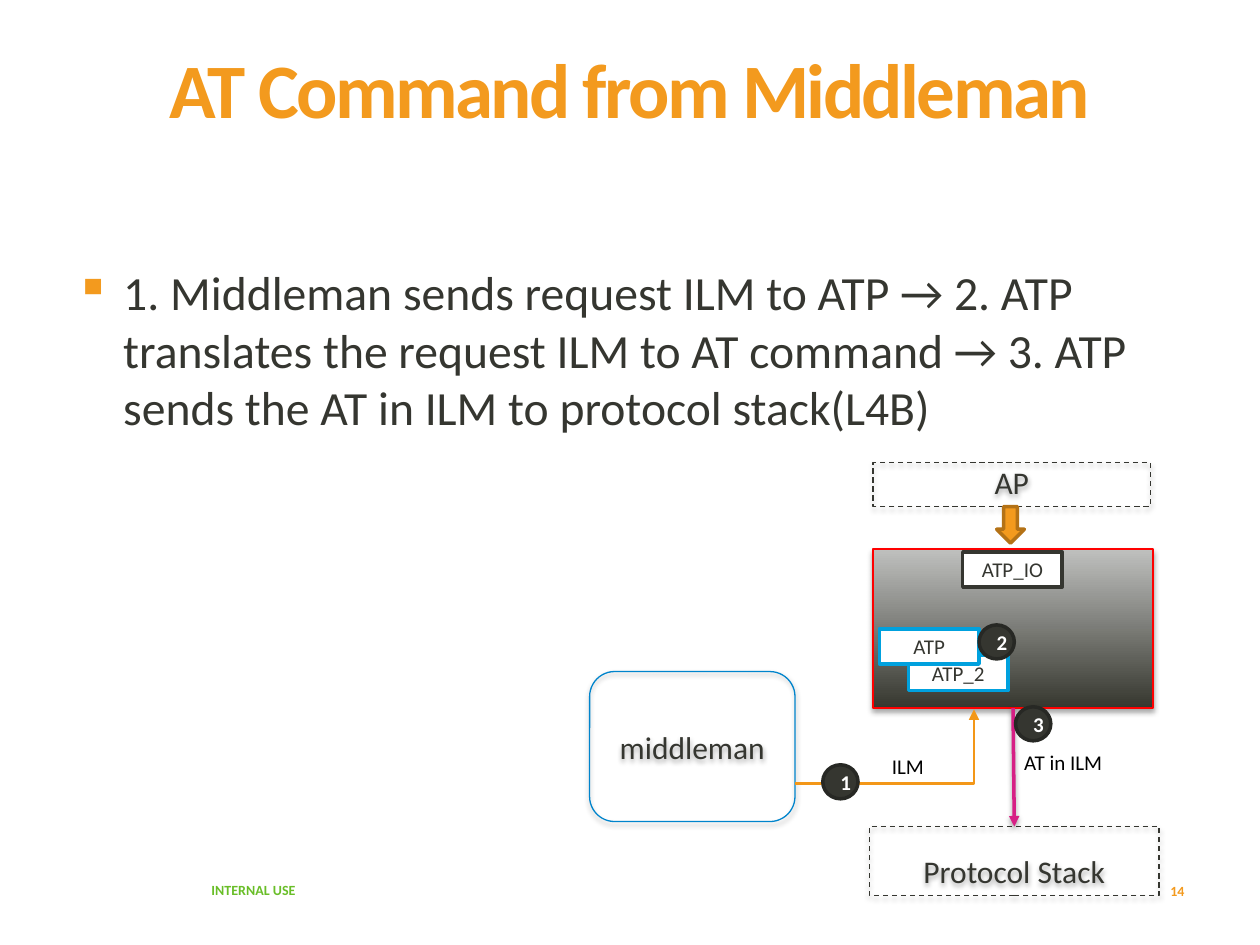
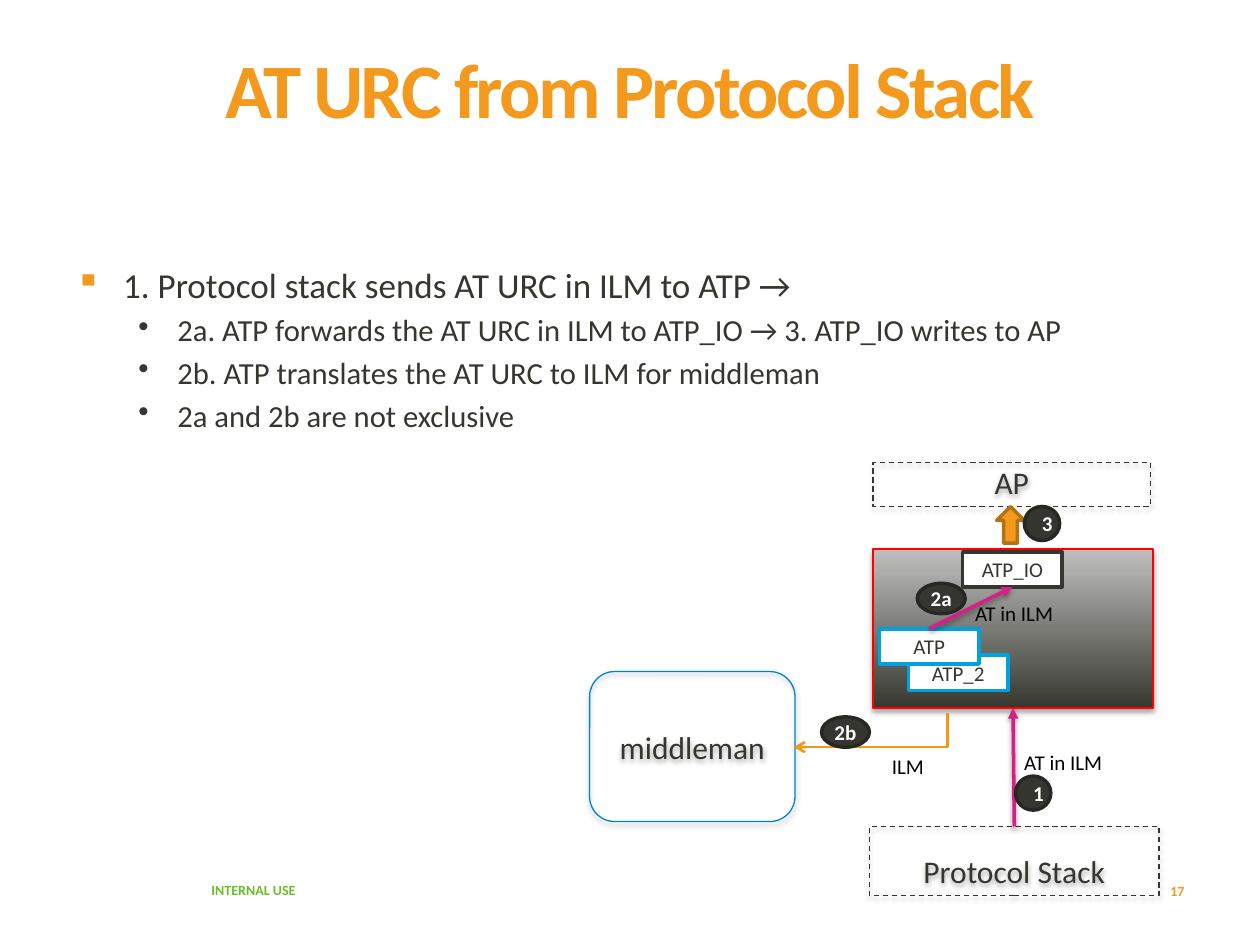
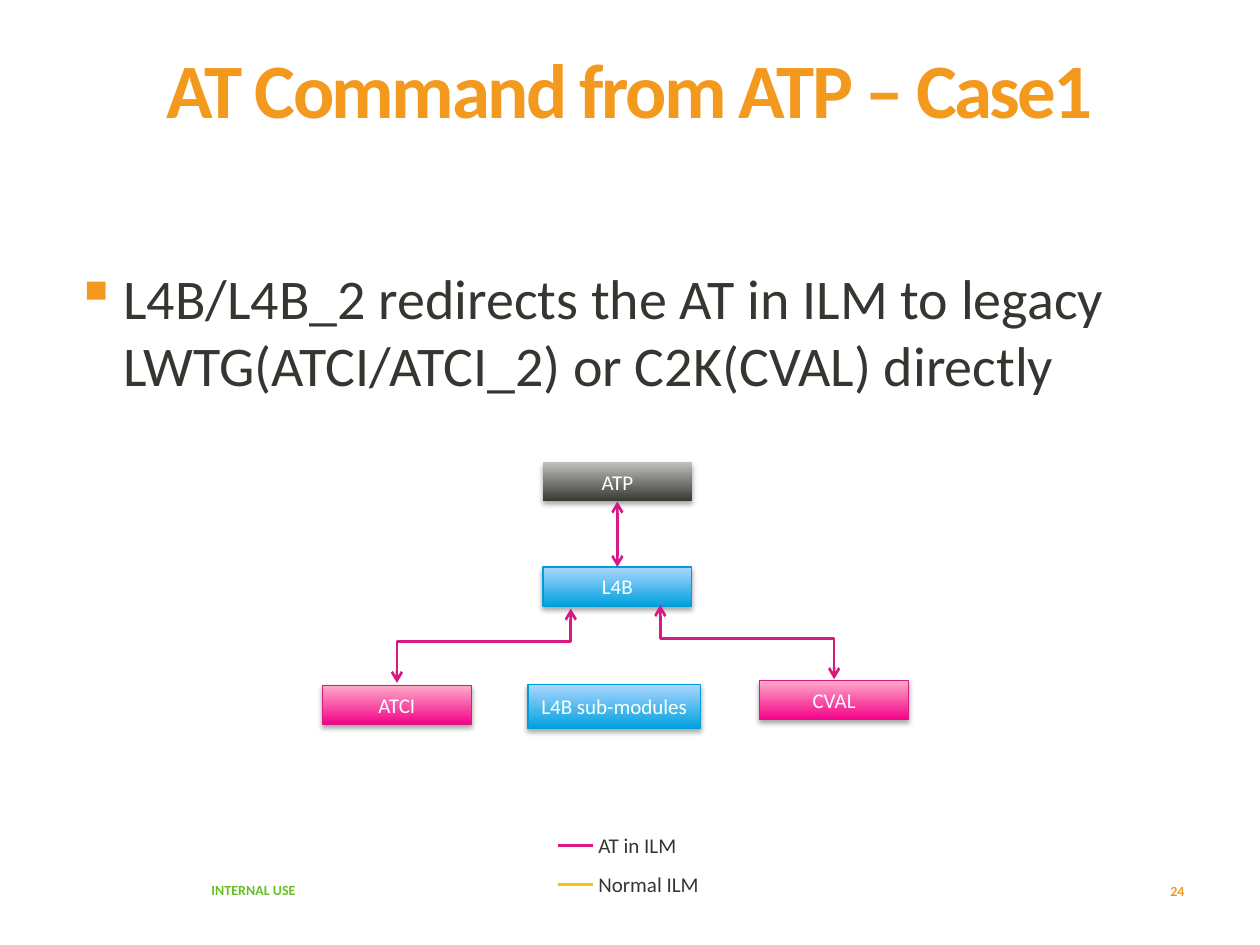
from dataclasses import dataclass

from lxml.etree import SubElement
from pptx import Presentation
from pptx.dml.color import RGBColor
from pptx.enum.dml import MSO_LINE
from pptx.enum.shapes import MSO_CONNECTOR, MSO_SHAPE
from pptx.enum.text import MSO_ANCHOR, MSO_AUTO_SIZE, PP_ALIGN
from pptx.oxml.ns import qn
from pptx.util import Emu, Inches, Pt


@dataclass(frozen=True)
class Theme:
    font: str = "Calibri"
    orange: str = "F39A1E"
    flow: str = "F39718"
    orange_edge: str = "B47216"
    green: str = "69BE28"
    ink: str = "353630"
    badge_edge: str = "272824"
    white: str = "FFFFFF"
    black: str = "000000"
    red: str = "FF0000"
    blue: str = "0084CC"
    cyan: str = "00A1DE"
    cyan_edge: str = "009DD9"
    magenta: str = "D71F85"
    magenta_edge: str = "D71A83"
    amber: str = "FFC000"
    gray_fade: tuple = ("36372F", "BFC0BE")
    cyan_fade: tuple = ("00A1DE", "ADD7FF")
    pink_fade: tuple = ("F30388", "FFAAC9")
    title_size: float = 44
    box_size: float = 18
    label_size: float = 12
    footer_size: float = 8


THEME = Theme()
SLIDE_WIDTH, SLIDE_HEIGHT, MARGIN = 10, 7.5, 0.5
CONTENT_WIDTH = SLIDE_WIDTH - 2 * MARGIN

# Content: bullets are (level, text, size)
FOOTER = "INTERNAL USE"
MIDDLEMAN_SLIDE = {
    "title": "AT Command from Middleman", "number": "14",
    "bullets": [(0, "1. Middleman sends request ILM to ATP → 2. ATP translates the request "
                    "ILM to AT command → 3. ATP sends the AT in ILM to protocol stack(L4B)", 27.2)],
    "badges": [("1", 6.53, 6.07), ("2", 7.77, 4.96), ("3", 8.06, 5.61)],
}
URC_SLIDE = {
    "title": "AT URC from Protocol Stack", "number": "17",
    "bullets": [
        (0, "1. Protocol stack sends AT URC in ILM to ATP →", 20),
        (1, "2a. ATP forwards the AT URC in ILM to ATP_IO → 3. ATP_IO writes to AP", 17.5),
        (1, "2b. ATP translates the AT URC to ILM for middleman", 17.5),
        (1, "2a and 2b are not exclusive", 17.5),
    ],
    "badges": [("1", 8.06, 6.16), ("3", 8.13, 4.02), ("2b", 6.52, 5.69), ("2a", 7.28, 4.63)],
}
CASE_SLIDE = {
    "title": "AT Command from ATP – Case1", "number": "24",
    "bullets": [(0, "L4B/L4B_2 redirects the AT in ILM to legacy LWTG(ATCI/ATCI_2) "
                    "or C2K(CVAL) directly", 32)],
}
# Bullet levels: left edge, hanging indent, mark, mark colour
BULLET_LEVELS = [(0.38, 0.38, "▪", THEME.orange), (0.81, 0.31, "•", THEME.ink)]

# Framed boxes of the flow diagram: name, place, shape, line, dashed, anchor
FRAMES = [
    ("middleman", (4.68, 5.33, 1.63, 1.19), MSO_SHAPE.ROUNDED_RECTANGLE, THEME.blue, False,
     MSO_ANCHOR.MIDDLE),
    ("AP", (6.93, 3.67, 2.2, 0.35), MSO_SHAPE.RECTANGLE, THEME.ink, True, MSO_ANCHOR.BOTTOM),
    ("Protocol Stack", (6.9, 6.56, 2.3, 0.55), MSO_SHAPE.RECTANGLE, THEME.ink, True,
     MSO_ANCHOR.BOTTOM),
]
MODULE_AREA = (6.93, 4.36, 2.22, 1.26)
MODULE_SIZE = (0.79, 0.28)
MODULES = [("ATP_2", 7.21, 5.2, THEME.cyan), ("ATP", 6.98, 4.99, THEME.cyan),
           ("ATP_IO", 7.64, 4.38, THEME.ink)]
FLOW_LABELS = [("AT in ILM", 8.03, 5.9, 0.83), ("ILM", 6.98, 5.93, 0.46)]

# Routing boxes: name, left, top, width, height, fade, line
ROUTE_BOXES = [
    ("ATCI", 2.56, 5.44, 1.18, 0.31, THEME.pink_fade, THEME.magenta_edge),
    ("CVAL", 6.03, 5.4, 1.18, 0.31, THEME.pink_fade, THEME.magenta_edge),
    ("L4B", 4.31, 4.5, 1.18, 0.31, THEME.cyan_fade, THEME.cyan_edge),
    ("ATP", 4.31, 3.67, 1.18, 0.31, THEME.gray_fade, None),
    ("L4B sub-modules", 4.19, 5.43, 1.37, 0.35, THEME.cyan_fade, THEME.cyan_edge),
]
LEGEND = [("AT in ILM", THEME.magenta_edge, 0.83), ("Normal ILM", THEME.amber, 1.01)]
LEGEND_LEFT, LEGEND_TOP, LEGEND_PITCH = 4.43, 6.71, 0.31


def color(value):
    return RGBColor.from_string(value)


def inches(values):
    return [Inches(value) for value in values]


# Text
def add_run(paragraph, text, size, text_color, bold=False):
    run = paragraph.add_run()
    run.text = text
    run.font.name = THEME.font
    run.font.size = Pt(size)
    run.font.bold = bold
    run.font.color.rgb = color(text_color)
    return run


def add_text(slide, text, place, size, text_color, bold=False, align=PP_ALIGN.LEFT,
             anchor=MSO_ANCHOR.MIDDLE):
    frame = slide.shapes.add_textbox(*inches(place)).text_frame
    frame.word_wrap = True
    frame.vertical_anchor = anchor
    frame.paragraphs[0].alignment = align
    add_run(frame.paragraphs[0], text, size, text_color, bold)
    return frame


def add_label(slide, text, left, top, width, text_color=THEME.black):
    frame = add_text(slide, text, (left, top, width, 0.3), THEME.label_size, text_color,
                     anchor=MSO_ANCHOR.TOP)
    frame.word_wrap = False
    frame.auto_size = MSO_AUTO_SIZE.SHAPE_TO_FIT_TEXT


def set_bullet(paragraph, level):
    left, hanging, mark, mark_color = BULLET_LEVELS[level]
    paragraph.level = level
    properties = paragraph._p.get_or_add_pPr()
    properties.set("marL", str(Inches(left)))
    properties.set("indent", str(-Inches(hanging)))
    SubElement(SubElement(properties, qn("a:spcBef")), qn("a:spcPct")).set("val", "20000")
    SubElement(SubElement(properties, qn("a:buClr")), qn("a:srgbClr")).set("val", mark_color)
    SubElement(properties, qn("a:buChar")).set("char", mark)


# Shapes
def set_shadow(properties, strength=35, distance=1.8):
    effects = properties.find(qn("a:effectLst"))
    shadow = SubElement(effects, qn("a:outerShdw"), blurRad=str(Pt(3.1)), dist=str(Pt(distance)),
                        dir="5400000", rotWithShape="0")
    shade = SubElement(shadow, qn("a:srgbClr"), val=THEME.black)
    SubElement(shade, qn("a:alpha"), val=str(strength * 1000))


def add_box(slide, kind, place, fill=None, line=None, line_width=0.75, dashed=False, shadow=False,
            text="", size=THEME.label_size, text_color=THEME.ink, bold=False,
            anchor=MSO_ANCHOR.MIDDLE):
    shape = slide.shapes.add_shape(kind, *inches(place))
    shape.shadow.inherit = False
    if fill is None:
        shape.fill.background()
    elif isinstance(fill, tuple):
        shape.fill.gradient()
        shape.fill.gradient_angle = 90
        for stop, position, shade in zip(shape.fill.gradient_stops, (0, 1), fill):
            stop.position = position
            stop.color.rgb = color(shade)
    else:
        shape.fill.solid()
        shape.fill.fore_color.rgb = color(fill)
    if line is None:
        shape.line.fill.background()
    else:
        shape.line.color.rgb = color(line)
        shape.line.width = Pt(line_width)
        if dashed:
            shape.line.dash_style = MSO_LINE.DASH
    if shadow:
        set_shadow(shape._element.spPr)
    if text:
        shape.text_frame.vertical_anchor = anchor
        paragraph = shape.text_frame.paragraphs[0]
        paragraph.alignment = PP_ALIGN.CENTER
        add_run(paragraph, text, size, text_color, bold)
    return shape


def remove_insets(shape):
    frame = shape.text_frame
    frame.margin_left = frame.margin_right = frame.margin_top = frame.margin_bottom = 0
    frame.word_wrap = False


def add_badge(slide, text, left, top):
    wide = len(text) > 1
    size = (0.38, 0.24) if wide else (0.28, 0.27)
    badge = add_box(slide, MSO_SHAPE.OVAL, (left, top, *size), THEME.ink, THEME.badge_edge, 2,
                    text=text, text_color=THEME.white, bold=True)
    if wide:
        remove_insets(badge)


# Connectors
def style_connector(connector, line_color, width, head=None, tail=None):
    connector.line.color.rgb = color(line_color)
    connector.line.width = Pt(width)
    properties = connector._element.spPr
    line = properties.find(qn("a:ln"))
    for tag, kind in (("a:headEnd", head), ("a:tailEnd", tail)):
        if kind:
            SubElement(line, qn(tag), type=kind)
    SubElement(properties, qn("a:effectLst"))


def add_straight(slide, start, end, line_color, width, head=None, tail=None):
    connector = slide.shapes.add_connector(MSO_CONNECTOR.STRAIGHT, *inches((*start, *end)))
    style_connector(connector, line_color, width, head, tail)
    return connector


def join(slide, source, source_side, target, target_side, line_color, width, head=None,
         tail=None, shadow=False):
    connector = add_straight(slide, (0, 0), (1, 1), line_color, width, head, tail)
    connector.begin_connect(source, source_side)
    connector.end_connect(target, target_side)
    if shadow:
        set_shadow(connector._element.spPr, 38, 1.6)


def add_elbow(slide, start, end, line_color, head=None, tail=None, bend=None):
    """Leave start vertically; turn once, or twice when bend gives the share of the drop."""
    (x1, y1), (x2, y2) = start, end
    center_x, center_y = (x1 + x2) / 2, (y1 + y2) / 2
    half_drop, half_run = (y2 - y1) / 2, (x1 - x2) / 2
    connector = slide.shapes.add_connector(
        MSO_CONNECTOR.ELBOW,
        *inches((center_x - half_drop, center_y - half_run,
                 center_x + half_drop, center_y + half_run)))
    properties = connector._element.spPr
    properties.find(qn("a:xfrm")).set("rot", "5400000")
    geometry = properties.find(qn("a:prstGeom"))
    if bend is None:
        geometry.set("prst", "bentConnector2")
    else:
        SubElement(geometry.find(qn("a:avLst")), qn("a:gd"), name="adj1",
                   fmla=f"val {round(bend * 100000)}")
    style_connector(connector, line_color, 1.5, head, tail)


# What all slides share: title, footer, number, bullets
def start_slide(presentation, content):
    slide = presentation.slides.add_slide(presentation.slide_layouts[5])
    title = slide.shapes.title
    title.left, title.top, title.width, title.height = inches((MARGIN, 0.47, CONTENT_WIDTH, 1.39))
    frame = title.text_frame
    frame.auto_size = MSO_AUTO_SIZE.NONE
    frame.vertical_anchor = MSO_ANCHOR.TOP
    frame.margin_top = Emu(0)
    paragraph = frame.paragraphs[0]
    paragraph.alignment = PP_ALIGN.CENTER
    paragraph.line_spacing = 0.8
    run = add_run(paragraph, content["title"], THEME.title_size, THEME.orange, True)
    run._r.get_or_add_rPr().set("spc", "-150")

    add_text(slide, FOOTER, (1.58, 6.86, 1.76, 0.4), THEME.footer_size, THEME.green, True)
    add_text(slide, content["number"], (8.34, 6.87, 1.16, 0.4), THEME.footer_size, THEME.orange,
             True, PP_ALIGN.RIGHT)

    body = slide.shapes.add_textbox(*inches((MARGIN, 2.04, CONTENT_WIDTH, 1.45))).text_frame
    body.word_wrap = True
    for index, (level, text, size) in enumerate(content["bullets"]):
        paragraph = body.add_paragraph() if index else body.paragraphs[0]
        set_bullet(paragraph, level)
        add_run(paragraph, text, size, THEME.ink)
    return slide


# Flow diagram of the first two slides
def add_flow_boxes(slide, arrow_kind):
    boxes = {}
    for name, place, kind, line, dashed, anchor in FRAMES:
        boxes[name] = add_box(slide, kind, place, line=line, dashed=dashed, shadow=True,
                              text=name, size=THEME.box_size, anchor=anchor)
    boxes["area"] = add_box(slide, MSO_SHAPE.RECTANGLE, MODULE_AREA, THEME.gray_fade, THEME.red, 1,
                            shadow=True)
    for name, left, top, line in MODULES:
        boxes[name] = add_box(slide, MSO_SHAPE.RECTANGLE, (left, top, *MODULE_SIZE), THEME.white,
                              line, 2, text=name)
    add_box(slide, arrow_kind, (7.91, 4.02, 0.22, 0.29), THEME.orange, THEME.orange_edge, 2)
    for label in FLOW_LABELS:
        add_label(slide, *label)
    return boxes


def add_badges(slide, content):
    for badge in content["badges"]:
        add_badge(slide, *badge)


def build_middleman_slide(presentation):
    slide = start_slide(presentation, MIDDLEMAN_SLIDE)
    boxes = add_flow_boxes(slide, MSO_SHAPE.DOWN_ARROW)
    join(slide, boxes["area"], 2, boxes["Protocol Stack"], 0, THEME.magenta, 2,
         tail="triangle", shadow=True)
    add_elbow(slide, (7.73, 5.63), (6.31, 6.22), THEME.flow, head="triangle")
    add_badges(slide, MIDDLEMAN_SLIDE)


def build_urc_slide(presentation):
    slide = start_slide(presentation, URC_SLIDE)
    boxes = add_flow_boxes(slide, MSO_SHAPE.UP_ARROW)
    for source, target in (("Protocol Stack", "area"), ("ATP", "ATP_IO")):
        join(slide, boxes[source], 0, boxes[target], 2, THEME.magenta, 2,
             tail="triangle", shadow=True)
    add_elbow(slide, (7.52, 5.66), (6.3, 5.93), THEME.flow, tail="arrow")
    add_label(slide, "AT in ILM", 7.64, 4.72, 0.83)
    add_badges(slide, URC_SLIDE)


# Routing diagram and legend of the last slide
def build_case_slide(presentation):
    slide = start_slide(presentation, CASE_SLIDE)
    boxes = {}
    for name, left, top, width, height, fade, line in ROUTE_BOXES:
        boxes[name] = add_box(slide, MSO_SHAPE.RECTANGLE, (left, top, width, height), fade, line,
                              shadow=True, text=name, text_color=THEME.white)
    boxes["L4B sub-modules"].text_frame.word_wrap = False
    both_ends = {"head": "arrow", "tail": "arrow"}
    join(slide, boxes["ATP"], 2, boxes["L4B"], 0, THEME.magenta_edge, 1.5, **both_ends)
    for start, end, bend in (((4.53, 4.83), (3.15, 5.42), 0.44), ((5.24, 4.8), (6.62, 5.39), 0.45)):
        add_elbow(slide, start, end, THEME.magenta_edge, bend=bend, **both_ends)
    for row, (text, line_color, width) in enumerate(LEGEND):
        middle = LEGEND_TOP + row * LEGEND_PITCH
        add_straight(slide, (LEGEND_LEFT, middle), (LEGEND_LEFT + 0.28, middle), line_color, 1.5)
        add_label(slide, text, LEGEND_LEFT + 0.22, middle - 0.15, width, THEME.ink)


def main():
    presentation = Presentation()
    presentation.slide_width, presentation.slide_height = inches((SLIDE_WIDTH, SLIDE_HEIGHT))
    build_middleman_slide(presentation)
    build_urc_slide(presentation)
    build_case_slide(presentation)
    presentation.save("out.pptx")


if __name__ == "__main__":
    main()
